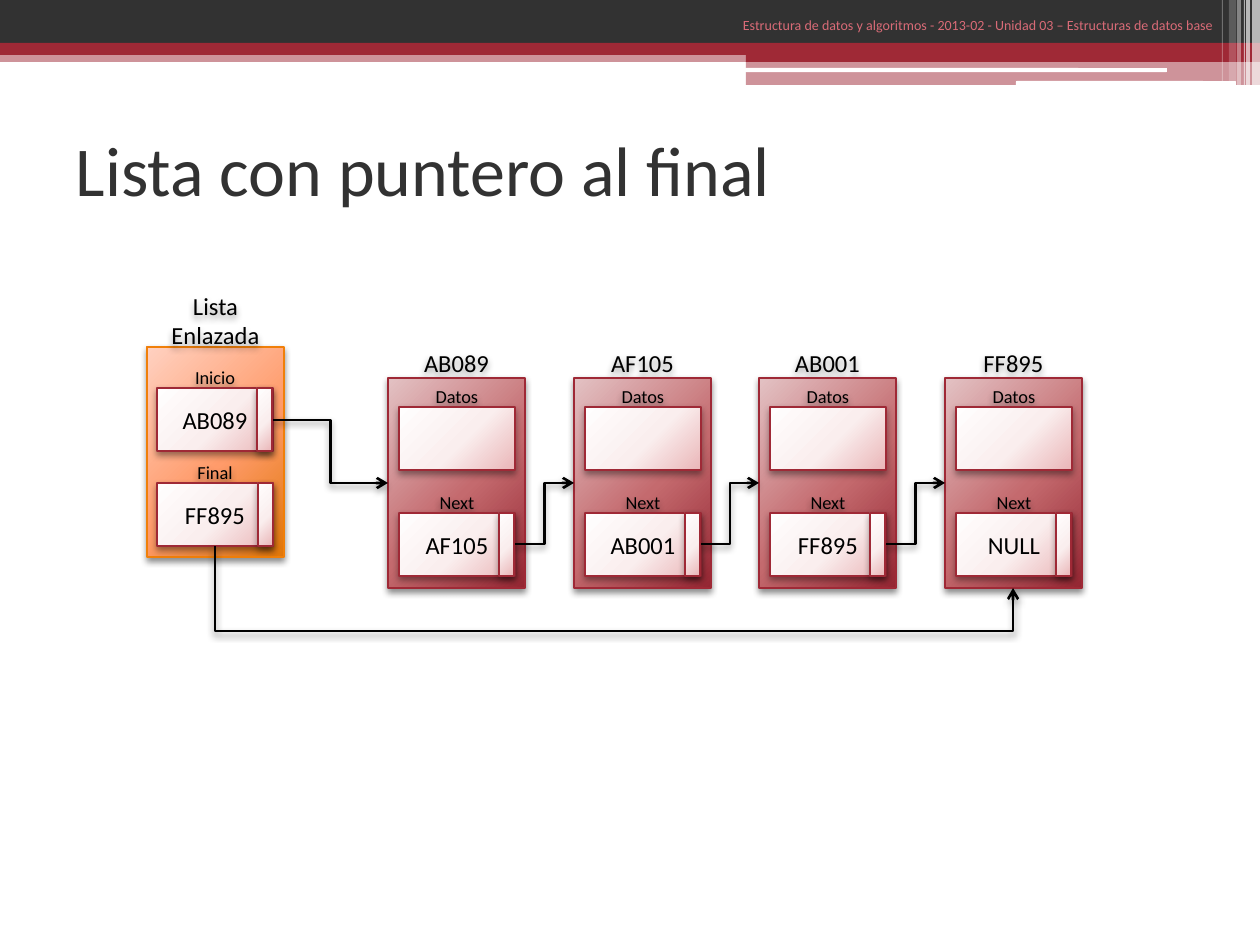
from dataclasses import dataclass

from lxml import etree
from pptx import Presentation
from pptx import util as u
from pptx.dml.color import RGBColor
from pptx.enum import shapes, text
from pptx.oxml.ns import qn

SCALE = 914400 / 126  # EMU per px


@dataclass(frozen=True)
class Theme:
    font: str = "Calibri"
    dark: str = "323232"
    red: str = "9F2936"
    orange: str = "F07F09"
    white: str = "FFFFFF"
    black: str = "000000"
    pink: str = "D96B77"
    red_fade: tuple = ("E3C2C4", "C46A6E", "942632")
    orange_fade: tuple = ("FFD1C1", "FF9B6A", "E07608")
    pale_fade: tuple = ("FFFEFE", "FAEEEE", "EAB6B8")
    title: float = 40
    body: float = 14
    small: float = 10.5
    head: float = 8


def px(*sizes):
    return [u.Emu(round(size * SCALE)) for size in sizes]


def add(owner, tag, **attrs):
    """Append a DrawingML child to an element."""
    return etree.SubElement(owner, qn("a:" + tag), {k: str(v) for k, v in attrs.items()})


def shade(props, alpha=40):
    """Give shape properties a soft shadow that falls straight down."""
    list_ = props.find(qn("a:effectLst"))
    if list_ is None:
        list_ = add(props, "effectLst")
    drop = add(list_, "outerShdw", blurRad=u.Pt(4), dist=u.Pt(2),
               dir=5400000, rotWithShape=0)
    add(add(drop, "srgbClr", val=Theme.black), "alpha", val=alpha * 1000)


def write(shape, words, size=Theme.body, color=Theme.black, align="CENTER",
          anchor="MIDDLE", pad=(0, 0)):
    frame = shape.text_frame
    frame.word_wrap = True
    frame.vertical_anchor = text.MSO_ANCHOR[anchor]
    frame.margin_left = frame.margin_right = px(pad[0])[0]
    frame.margin_top = frame.margin_bottom = px(pad[1])[0]
    line = frame.paragraphs[0]
    line.alignment = text.PP_ALIGN[align]
    run = line.add_run()
    run.text = words
    run.font.name = Theme.font
    run.font.size = u.Pt(size)
    run.font.color.rgb = RGBColor.from_string(color)


class Board:
    def __init__(self, theme, slide):
        self.theme = theme
        self.slide = slide

    def shape(self, box, kind="RECTANGLE"):
        item = self.slide.shapes.add_shape(shapes.MSO_SHAPE[kind], *px(*box))
        item.shadow.inherit = False
        return item

    def bar(self, box, color, alpha=100, kind="RECTANGLE"):
        item = self.shape(box, kind)
        item.fill.solid()
        item.fill.fore_color.rgb = RGBColor.from_string(color)
        item.line.fill.background()
        if alpha < 100:
            tone = item._element.spPr.find(qn("a:solidFill"))[0]
            add(tone, "alpha", val=alpha * 1000)

    def block(self, box, fade, edge, alpha=40):
        """Draw a shadowed box with a radial blend."""
        item = self.shape(box)
        item.fill.gradient()
        props = item._element.spPr
        blend = props.find(qn("a:gradFill"))
        blend.clear()
        stops = add(blend, "gsLst")
        for place, color in zip((0, 55, 100), fade):
            add(add(stops, "gs", pos=place * 1000), "srgbClr", val=color)
        add(add(blend, "path", path="circle"), "fillToRect",
            l=-40000, t=-90000, r=140000, b=190000)
        item.line.color.rgb = RGBColor.from_string(edge)
        item.line.width = u.Pt(0.75)
        shade(props, alpha)
        return item

    def cell(self, left, top, words="", width=116):
        item = self.block((left, top, width, 63), self.theme.pale_fade, self.theme.red)
        if words:
            write(item, words)

    def label(self, box, words, soft=True, **style):
        item = self.slide.shapes.add_textbox(*px(*box))
        write(item, words, **style)
        if soft:
            shade(item._element.spPr)

    def field(self, left, top, name, words=""):
        self.label((left, top - 21, 116, 21), name, size=self.theme.small)
        self.cell(left, top, words)

    def fin(self, left, top):
        """Draw the narrow pointer strip at the right end of a cell."""
        self.cell(left + 100, top, width=15)

    def arrow(self, start, end):
        item = self.slide.shapes.add_connector(
            shapes.MSO_CONNECTOR.ELBOW, *px(*start, *end))
        item.line.color.rgb = RGBColor.from_string(self.theme.black)
        item.line.width = u.Pt(1.5)
        props = item._element.spPr
        add(props.find(qn("a:ln")), "tailEnd", type="arrow")
        shade(props)
        return item

    def under(self, start, end, low):
        """Draw an arrow that leaves downward, runs at low and comes up to end."""
        (x1, y1), (x2, y2) = start, end
        wide, high = x2 - x1, y2 - y1
        item = self.arrow(start, end)
        item.left, item.top, item.width, item.height = px(
            (x1 + x2 - high) / 2, (y1 + y2 - wide) / 2, high, wide)
        item.rotation = 270 if hasattr(item, "rotation") else None
        props = item._element.spPr
        frame = props.find(qn("a:xfrm"))
        frame.set("rot", str(270 * 60000))
        frame.set("flipH", "1")
        guides = props.find(qn("a:prstGeom")).find(qn("a:avLst"))
        ratio = round((low - y1) / high * 100000)
        add(guides, "gd", name="adj1", fmla=f"val {ratio}")


def banner(board):
    look = board.theme
    board.bar((0, 50, 1260, 12), look.red, 50)
    board.bar((0, 0, 1260, 43), look.dark)
    board.bar((0, 43, 1260, 12), look.red)
    board.bar((746, 49, 514, 13), look.red)
    board.bar((746, 61, 514, 24), look.red, 50)
    for box in ((745, 68, 422, 4), (1016, 81, 220, 5)):
        board.bar(box, look.white, kind="ROUNDED_RECTANGLE")
    for left, width, high, alpha in (
            (1252, 8, 86, 65), (1246, 4, 86, 65), (1244, 1, 86, 60),
            (1237, 4, 86, 40), (1229, 7, 81, 20), (1222, 1, 81, 30)):
        board.bar((left, 0, width, high), look.white, alpha)
    board.label((588, 10, 639, 32), soft=False, size=look.head, color=look.pink,
                align="RIGHT", anchor="TOP", pad=(13, 6),
                words="Estructura de datos y algoritmos - 2013-02 - "
                      "Unidad 03 – Estructuras de datos base")


def chain(board):
    """Draw the list head, its nodes and the pointers between them."""
    look = board.theme
    names = ["AB089", "AF105", "AB001", "FF895"]
    lefts = [388 + round(i * 557 / 3) for i in range(len(names))]
    fins = [(157, 388), (158, 483)]

    board.block((147, 347, 137, 210), look.orange_fade, look.orange, 45)
    board.label((147, 294, 137, 53), "Lista Enlazada")
    board.field(157, 388, "Inicio", names[0])
    board.field(157, 483, "Final", names[-1])

    for left, name, after in zip(lefts, names, names[1:] + ["NULL"]):
        board.label((left, 347, 137, 31), name)
        board.block((left, 378, 137, 210), look.red_fade, look.red, 45)
        board.field(left + 11, 407, "Datos")
        board.field(left + 11, 513, "Next", after)
        fins.append((left + 11, 513))

    board.arrow((273, 420), (lefts[0], 483))
    for left, after in zip(lefts, lefts[1:]):
        board.arrow((left + 127, 544), (after, 483))
    board.under((215, 546), (lefts[-1] + 68, 588), 631)
    for spot in fins:
        board.fin(*spot)


def main():
    deck = Presentation()
    deck.slide_width, deck.slide_height = px(1260, 945)
    board = Board(Theme(), deck.slides.add_slide(deck.slide_layouts[6]))
    banner(board)
    board.label((63, 95, 1134, 147), "Lista con puntero al final", soft=False,
                size=Theme.title, color=Theme.dark, align="LEFT", pad=(13, 6))
    chain(board)
    deck.save("out.pptx")


if __name__ == "__main__":
    main()
